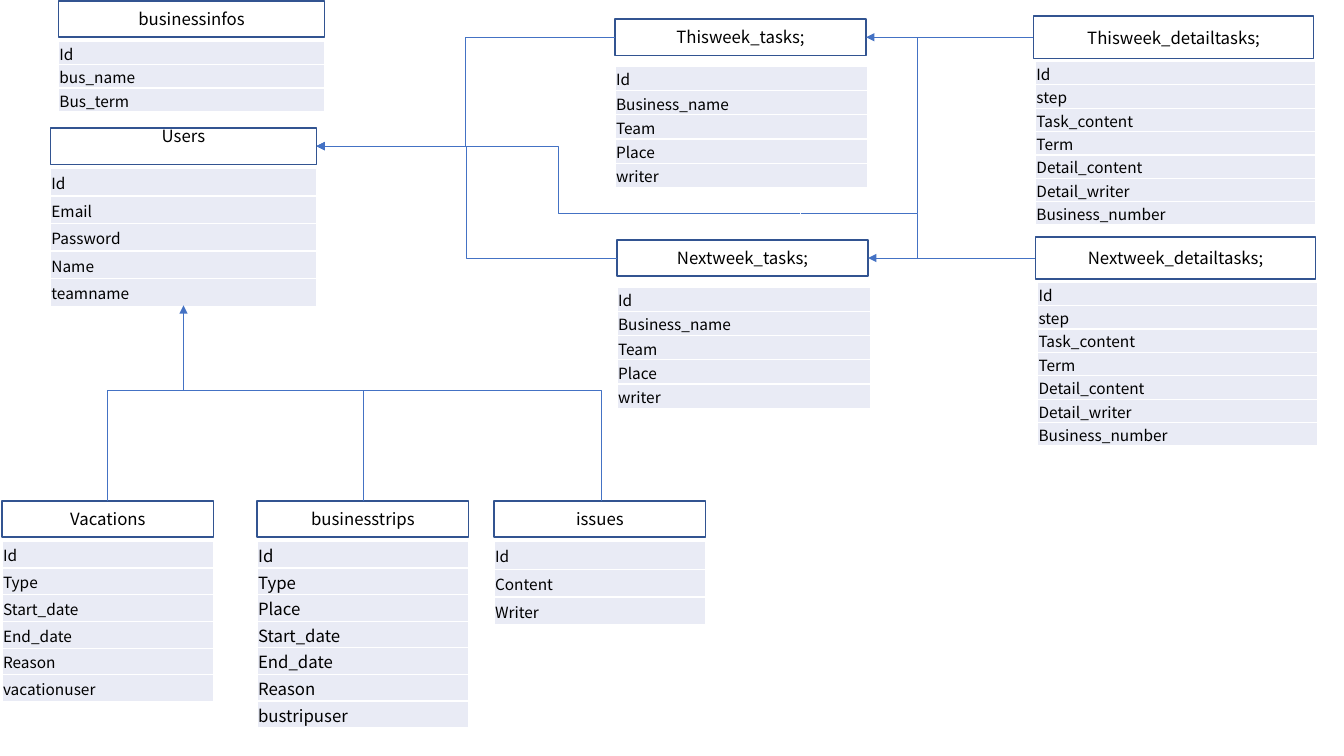
from dataclasses import dataclass

from lxml.etree import SubElement
from pptx import Presentation
from pptx.dml.color import RGBColor
from pptx.enum.shapes import MSO_CONNECTOR, MSO_SHAPE
from pptx.enum.text import MSO_ANCHOR, PP_ALIGN
from pptx.oxml.ns import qn
from pptx.shapes.autoshape import Shape
from pptx.slide import Slide
from pptx.text.text import TextFrame
from pptx.util import Emu, Pt

PX_PER_INCH = 100
FONT = "Noto Sans CJK KR"
COLORS = {
    "text": "000000",
    "heading_line": "325491",
    "relation": "4472C4",
    "field": "E9EBF5",
    "border": "FFFFFF",
}
TASK_FIELDS = ("Id", "Business_name", "Team", "Place", "writer")
DETAIL_FIELDS = ("Id", "step", "Task_content", "Term", "Detail_content",
                 "Detail_writer", "Business_number")


@dataclass(frozen=True)
class Entity:
    name: str
    left: int
    top: int
    width: int
    fields: tuple[str, ...]
    fields_left: int
    fields_top: int
    fields_width: int
    fields_height: int
    heading_height: int = 36
    field_size: int = 11
    inset_top: int = 5
    inset_bottom: int = 5


@dataclass(frozen=True)
class Relation:
    start: tuple[int, int]
    end: tuple[int, int]
    arrow: bool = False
    preset: str = "line"
    source: str = ""
    target: str = ""


ENTITIES = (
    Entity("businessinfos", 58, 1, 264, ("Id", "bus_name", "Bus_term"),
           58, 41, 264, 69),
    Entity("Users", 50, 127, 264, ("Id", "Email", "Password", "Name", "teamname"),
           50, 167, 264, 137, inset_top=0, inset_bottom=20),
    Entity("Thisweek_tasks;", 610, 19, 249, TASK_FIELDS, 610, 66, 251, 120),
    Entity("Nextweek_tasks;", 612, 238, 249, TASK_FIELDS, 612, 285, 251, 120),
    Entity("Thisweek_detailtasks;", 1025, 16, 278, DETAIL_FIELDS,
           1027, 61, 278, 162, heading_height=42),
    Entity("Nextweek_detailtasks;", 1027, 235, 278, DETAIL_FIELDS,
           1029, 280, 278, 162, heading_height=42),
    Entity("Vacations", 2, 497, 210,
           ("Id", "Type", "Start_date", "End_date", "Reason", "vacationuser"),
           2, 537, 210, 159),
    Entity("businesstrips", 255, 497, 210,
           ("Id", "Type", "Place", "Start_date", "End_date", "Reason", "bustripuser"),
           255, 537, 210, 185, field_size=12),
    Entity("issues", 490, 497, 210, ("Id", "Content", "Writer"), 490, 537, 210, 83),
)

RELATIONS = (
    Relation((610, 37), (314, 145), True, "bentConnector3"),
    Relation((612, 256), (314, 145), True, "bentConnector3"),
    Relation((1025, 37), (795, 212), preset="bentConnector3"),
    Relation((794, 212), (314, 145), True, "bentConnector3"),
    Relation((218, 387), (107, 497), preset="bentConnector2"),
    Relation((202, 387), (360, 497), preset="bentConnector2"),
    Relation((360, 387), (596, 497), preset="bentConnector2"),
    Relation((182, 387), (182, 303), True),
    Relation((910, 37), (859, 37), True, target="Thisweek_tasks;"),
    Relation((1027, 256), (861, 256), True,
             source="Nextweek_detailtasks;", target="Nextweek_tasks;"),
    Relation((910, 256), (910, 212)),
)


def px(length: int) -> Emu:
    return Emu(length * 914400 // PX_PER_INCH)


def color(key: str) -> RGBColor:
    return RGBColor.from_string(COLORS[key])


def write(frame: TextFrame, text: str, *, size: int,
          align: PP_ALIGN = PP_ALIGN.LEFT) -> None:
    paragraph = frame.paragraphs[0]
    paragraph.alignment = align
    run = paragraph.add_run()
    run.text = text
    run.font.size = Pt(size)
    run.font.name = FONT
    run.font.color.rgb = color("text")


def draw_heading(slide: Slide, entity: Entity) -> Shape:
    heading = slide.shapes.add_shape(
        MSO_SHAPE.RECTANGLE, px(entity.left), px(entity.top),
        px(entity.width), px(entity.heading_height))
    heading.shadow.inherit = False
    heading.fill.background()
    heading.line.color.rgb = color("heading_line")
    heading.line.width = Pt(1)
    frame = heading.text_frame
    frame.vertical_anchor = MSO_ANCHOR.MIDDLE
    frame.margin_top = px(entity.inset_top)
    frame.margin_bottom = px(entity.inset_bottom)
    write(frame, entity.name, size=12, align=PP_ALIGN.CENTER)
    return heading


def draw_fields(slide: Slide, entity: Entity) -> None:
    count = len(entity.fields)
    table = slide.shapes.add_table(
        count, 1, px(entity.fields_left), px(entity.fields_top),
        px(entity.fields_width), px(entity.fields_height)).table
    table.first_row = False
    table.horz_banding = False
    for row, field in zip(table.rows, entity.fields):
        row.height = Emu(px(entity.fields_height) // count)
        cell = row.cells[0]
        cell.margin_left = cell.margin_right = cell.margin_top = px(1)
        cell.margin_bottom = 0
        cell.vertical_anchor = MSO_ANCHOR.MIDDLE
        properties = cell._tc.get_or_add_tcPr()
        for side in ("a:lnL", "a:lnR", "a:lnT", "a:lnB"):
            border = SubElement(properties, qn(side), w=str(Pt(1)))
            border_fill = SubElement(border, qn("a:solidFill"))
            SubElement(border_fill, qn("a:srgbClr"), val=COLORS["border"])
        cell.fill.solid()
        cell.fill.fore_color.rgb = color("field")
        write(cell.text_frame, field, size=entity.field_size)


def draw_relation(slide: Slide, relation: Relation, headings: dict[str, Shape]) -> None:
    straight = relation.preset == "line"
    link = slide.shapes.add_connector(
        MSO_CONNECTOR.STRAIGHT if straight else MSO_CONNECTOR.ELBOW,
        *map(px, relation.start + relation.end))
    if relation.source:
        link.begin_connect(headings[relation.source], 1)
    if relation.target:
        link.end_connect(headings[relation.target], 3)
    link.line.color.rgb = color("relation")
    link.line.width = Pt(0.5)
    properties = link.element.spPr
    properties.find(qn("a:prstGeom")).set("prst", relation.preset)
    if relation.arrow:
        SubElement(link.get_or_add_ln(), qn("a:tailEnd"), type="triangle")
    SubElement(properties, qn("a:effectLst"))


def main() -> None:
    presentation = Presentation()
    presentation.slide_width = px(1333)
    presentation.slide_height = px(750)
    slide = presentation.slides.add_slide(presentation.slide_layouts[6])
    headings = {entity.name: draw_heading(slide, entity) for entity in ENTITIES}
    for entity in ENTITIES:
        draw_fields(slide, entity)
    for relation in RELATIONS:
        draw_relation(slide, relation, headings)
    presentation.save("out.pptx")


if __name__ == "__main__":
    main()
